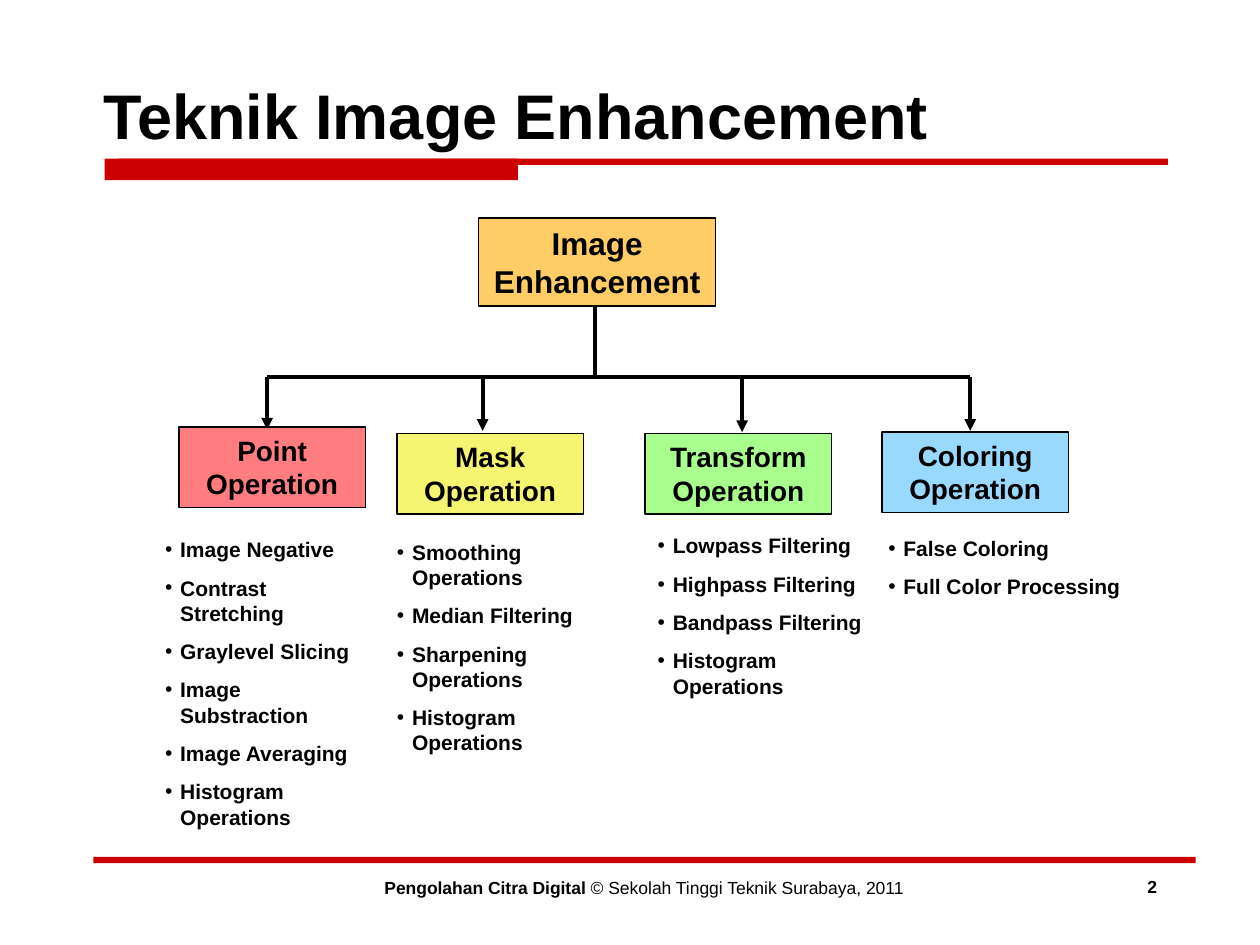
from lxml import etree
from pptx import Presentation
from pptx.dml.color import RGBColor
from pptx.enum.shapes import MSO_CONNECTOR, MSO_SHAPE
from pptx.enum.text import MSO_ANCHOR, MSO_AUTO_SIZE, PP_ALIGN
from pptx.oxml.ns import qn
from pptx.util import Inches, Pt

RECT = MSO_SHAPE.RECTANGLE
LINE = MSO_CONNECTOR.STRAIGHT
TOP, MID = MSO_ANCHOR.TOP, MSO_ANCHOR.MIDDLE
LEFT, CENTER = PP_ALIGN.LEFT, PP_ALIGN.CENTER
FIXED = MSO_AUTO_SIZE.NONE

BLACK = RGBColor(0x00, 0x00, 0x00)
RED = RGBColor(0xCC, 0x00, 0x00)
ORANGE = RGBColor(0xFF, 0xCC, 0x66)
PINK = RGBColor(0xFF, 0x7C, 0x80)
YELLOW = RGBColor(0xF5, 0xF5, 0x71)
GREEN = RGBColor(0xA8, 0xFF, 0x8D)
BLUE = RGBColor(0x99, 0xD8, 0xFF)
FONT = "Arial"

TITLE = "Teknik Image Enhancement"
ROOT = "Image Enhancement"
FOOTER = [("Pengolahan Citra Digital", True),
          (" © Sekolah Tinggi Teknik Surabaya, 2011", False)]
PAGE = [("2", True)]
BARS = [(0.94, 1.26, 8.33, 0.05), (0.83, 1.26, 3.28, 0.17), (0.74, 6.8, 8.75, 0.05)]
BAR_Y = 2.99
BRANCHES = [
    dict(name="Point Operation", fill=PINK, box=(1.42, 3.39), arrow=(2.12, 3.41),
         area=(1.21, 4.21, 1.7, 2.42),
         items=["Image Negative", "Contrast Stretching", "Graylevel Slicing",
                "Image Substraction", "Image Averaging", "Histogram Operations"]),
    dict(name="Mask Operation", fill=YELLOW, box=(3.15, 3.44), arrow=(3.83, 3.42),
         area=(3.05, 4.23, 1.7, 1.82),
         items=["Smoothing Operations", "Median Filtering",
                "Sharpening Operations", "Histogram Operations"]),
    dict(name="Transform Operation", fill=GREEN, box=(5.12, 3.44), arrow=(5.89, 3.43),
         area=(5.12, 4.18, 1.83, 1.42),
         items=["Lowpass Filtering", "Highpass Filtering",
                "Bandpass Filtering", "Histogram Operations"]),
    dict(name="Coloring Operation", fill=BLUE, box=(7, 3.43), arrow=(7.7, 3.42),
         area=(6.95, 4.2, 2.11, 0.61),
         items=["False Coloring", "Full Color Processing"]),
]


def place(shape, area):
    shape.left, shape.top, shape.width, shape.height = map(Inches, area)


def frame(shape, anchor=TOP):
    text = shape.text_frame
    text.word_wrap = True
    text.auto_size = FIXED
    text.vertical_anchor = anchor
    return text


def write(para, runs, size, align):
    para.alignment = align
    para.space_before = Pt(0)
    for words, bold in runs:
        run = para.add_run()
        run.text = words
        font = run.font
        font.name, font.size, font.bold = FONT, Pt(size), bold
        font.color.rgb = BLACK


def add_rect(slide, area, fill):
    rect = slide.shapes.add_shape(RECT, *map(Inches, area))
    rect.shadow.inherit = False
    rect.fill.solid()
    rect.fill.fore_color.rgb = fill
    rect.line.fill.background()
    return rect


def add_node(slide, area, fill, words, size):
    node = add_rect(slide, area, fill)
    node.line.color.rgb = BLACK
    node.line.width = Pt(0.75)
    write(frame(node).paragraphs[0], [(words, True)], size, CENTER)


def add_line(slide, ends, arrow=False):
    line = slide.shapes.add_connector(LINE, *map(Inches, ends))
    line.line.color.rgb = BLACK
    line.line.width = Pt(2.25)
    if arrow:
        etree.SubElement(line.line._get_or_add_ln(), qn("a:tailEnd"), type="triangle")
    etree.SubElement(line._element.spPr, qn("a:effectLst"))


def add_note(slide, area, runs):
    box = slide.shapes.add_textbox(*map(Inches, area))
    write(frame(box).paragraphs[0], runs, 10, CENTER)


def fill_list(holder, area, items):
    place(holder, area)
    text = frame(holder)
    for i, item in enumerate(items):
        para = text.add_paragraph() if i else text.paragraphs[0]
        props = para._p.get_or_add_pPr()
        props.set("marL", str(Inches(0.12)))
        props.set("indent", str(Inches(-0.12)))
        etree.SubElement(props, qn("a:buFont"), typeface=FONT)
        etree.SubElement(props, qn("a:buChar"), char="•")
        write(para, [(item, True)], 12, LEFT)
        if i:
            para.space_before = Pt(7.5)


def main():
    deck = Presentation()
    deck.slide_width, deck.slide_height = Inches(10), Inches(7.5)
    slide = deck.slides.add_slide(deck.slide_layouts[4])

    title = slide.shapes.title
    place(title, (0.72, 0.45, 8.5, 0.92))
    write(frame(title, MID).paragraphs[0], [(TITLE, True)], 36, LEFT)
    for bar in BARS:
        add_rect(slide, bar, RED)
    add_note(slide, (1.84, 6.91, 6.54, 0.27), FOOTER)
    add_note(slide, (8.89, 6.9, 0.51, 0.27), PAGE)

    add_node(slide, (3.8, 1.73, 1.88, 0.7), ORANGE, ROOT, 18)
    add_line(slide, (4.72, 2.44, 4.72, BAR_Y))
    add_line(slide, (BRANCHES[0]["arrow"][0], BAR_Y, BRANCHES[-1]["arrow"][0], BAR_Y))
    for i, part in enumerate(BRANCHES, 1):
        x, tip = part["arrow"]
        add_line(slide, (x, BAR_Y, x, tip), arrow=True)
        add_node(slide, (*part["box"], 1.48, 0.64), part["fill"], part["name"], 16)
        fill_list(slide.placeholders[i], part["area"], part["items"])

    deck.save("out.pptx")


if __name__ == "__main__":
    main()
